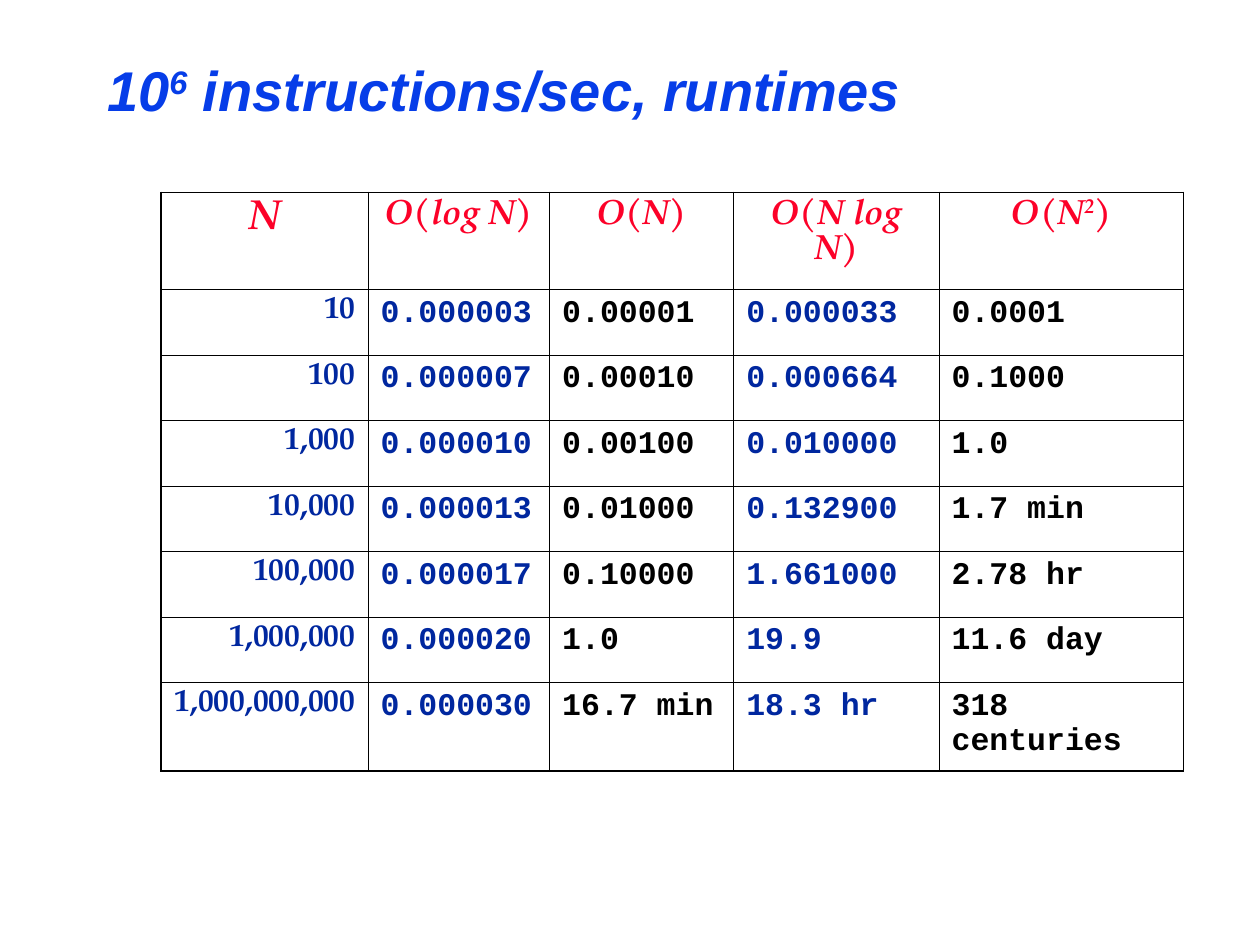
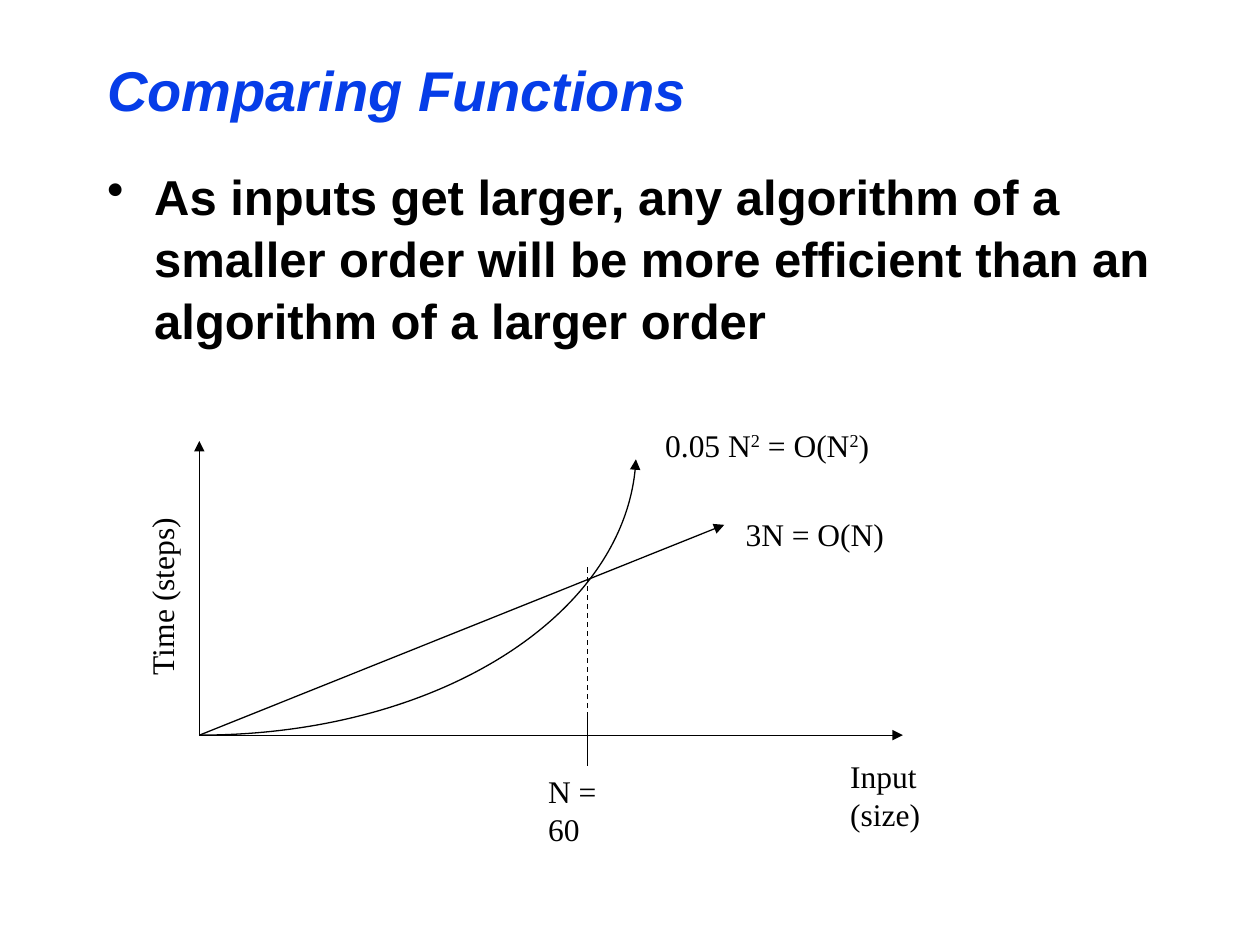
from dataclasses import dataclass

from pptx import Presentation
from pptx.dml.color import RGBColor
from pptx.enum.dml import MSO_LINE
from pptx.enum.shapes import MSO_CONNECTOR
from pptx.enum.text import MSO_ANCHOR, PP_ALIGN
from pptx.oxml.ns import qn
from pptx.oxml.xmlchemy import OxmlElement as Element
from pptx.util import Cm, Pt


@dataclass(frozen=True)
class Theme:
    title_blue: str = "063DE8"
    header_red: str = "FC0128"
    navy: str = "00279F"
    black: str = "000000"
    sans: str = "Arial"
    serif: str = "TeX Gyre Pagella"
    mono: str = "Courier New"
    label: str = "Times New Roman"
    title_size: int = 32
    body_size: int = 28
    first_header_size: int = 24
    header_size: int = 20
    small_size: int = 18
    line: float = 0.75
    inner_border: float = 0.45
    outer_border: float = 1.08


THEME = Theme()

# Text between two bars is superscript. Lengths are in centimetres.
RUNTIME_TITLE = "10|6| instructions/sec, runtimes"
RUNTIME_HEADERS = ["N", "O(log N)", "O(N)", "O(N log N)", "O(N|2|)"]
RUNTIMES = [
    ["10", "0.000003", "0.00001", "0.000033", "0.0001"],
    ["100", "0.000007", "0.00010", "0.000664", "0.1000"],
    ["1,000", "0.000010", "0.00100", "0.010000", "1.0"],
    ["10,000", "0.000013", "0.01000", "0.132900", "1.7 min"],
    ["100,000", "0.000017", "0.10000", "1.661000", "2.78 hr"],
    ["1,000,000", "0.000020", "1.0", "19.9", "11.6 day"],
    ["1,000,000,000", "0.000030", "16.7 min", "18.3 hr", "318 centuries"],
]
TABLE_CORNER = (3.25, 3.88)
COLUMN_WIDTHS = [4.17, 3.66, 3.71, 4.14, 4.93]
ROW_HEIGHTS = [1.96] + [1.32] * 6 + [1.78]
COLUMN_COLORS = [THEME.navy, THEME.navy, THEME.black, THEME.navy, THEME.black]

COMPARING_TITLE = "Comparing Functions"
COMPARING_POINT = ("As inputs get larger, any algorithm of a smaller order "
                   "will be more efficient than an algorithm of a larger order")
ORIGIN_X, ORIGIN_Y = ORIGIN = (4.02, 14.82)
CROSSING_X = 11.85
ARROWS = [
    (ORIGIN, (ORIGIN_X, 8.89)),   # time axis
    (ORIGIN, (18.2, ORIGIN_Y)),   # input axis
    (ORIGIN, (14.6, 10.58)),      # linear function
]
QUADRATIC_CONTROLS = [(8.8, ORIGIN_Y), (12.68, 12.34), (12.82, 9.26)]
GRAPH_LABELS = [  # text, left, top, width, rotation
    ("Time (steps)", 1.42, 11.51, 3.68, 270),
    ("Input (size)", 16.89, 15.14, 3.4, 0),
    ("3N = O(N)", 14.78, 10.26, 3.3, 0),
    ("0.05 N|2| = O(N|2|)", 13.16, 8.46, 4.62, 0),
    ("N = 60", 10.8, 15.44, 2.26, 0),
]
LABEL_HEIGHT = 1.02


def write(frame, text, font, size, color, bold=False, italic=False):
    paragraph = frame.paragraphs[0]
    for index, part in enumerate(text.split("|")):
        span = paragraph.add_run()
        span.text = part
        if index % 2:
            span._r.get_or_add_rPr().set("baseline", "30000")
    style = paragraph.font
    style.name, style.size = font, Pt(size)
    style.bold, style.italic = bold, italic
    style.color.rgb = RGBColor.from_string(color)
    return paragraph


def add_box(page, left, top, width, height, wrap=True):
    box = page.shapes.add_textbox(Cm(left), Cm(top), Cm(width), Cm(height))
    box.text_frame.word_wrap = wrap
    return box


def add_page(deck, title):
    page = deck.slides.add_slide(deck.slide_layouts[6])
    frame = add_box(page, 1.91, 0.84, 21.59, 1.91).text_frame
    frame.vertical_anchor = MSO_ANCHOR.MIDDLE
    write(frame, title, THEME.sans, THEME.title_size, THEME.title_blue, True, True)
    return page


def set_borders(cell, outer_sides):
    properties = cell._tc.get_or_add_tcPr()
    for side in "LRTB":
        weight = THEME.outer_border if side in outer_sides else THEME.inner_border
        border = Element(f"a:ln{side}")
        border.set("w", str(Pt(weight)))
        fill = Element("a:solidFill")
        color = Element("a:srgbClr")
        color.set("val", THEME.black)
        fill.append(color)
        border.append(fill)
        properties.append(border)


def write_cell(cell, text, row, column):
    frame = cell.text_frame
    if row == 0:
        size = THEME.header_size if column else THEME.first_header_size
        paragraph = write(frame, text, THEME.serif, size, THEME.header_red, True, True)
        paragraph.alignment = PP_ALIGN.CENTER
    else:
        font = THEME.mono if column else THEME.serif
        paragraph = write(frame, text, font, THEME.small_size, COLUMN_COLORS[column], True)
        paragraph.alignment = PP_ALIGN.LEFT if column else PP_ALIGN.RIGHT


def add_runtime_table(page):
    rows = [RUNTIME_HEADERS] + RUNTIMES
    last_row, last_column = len(rows) - 1, len(RUNTIME_HEADERS) - 1
    size = (sum(COLUMN_WIDTHS), sum(ROW_HEIGHTS))
    table = page.shapes.add_table(len(rows), len(RUNTIME_HEADERS),
                                  *map(Cm, TABLE_CORNER + size)).table
    table.first_row = table.horz_banding = False
    for column, width in zip(table.columns, COLUMN_WIDTHS):
        column.width = Cm(width)
    for row, height in zip(table.rows, ROW_HEIGHTS):
        row.height = Cm(height)
    for r, texts in enumerate(rows):
        for c, text in enumerate(texts):
            cell = table.cell(r, c)
            edges = {"L": c == 0, "R": c == last_column, "T": r == 0, "B": r == last_row}
            set_borders(cell, [side for side, outer in edges.items() if outer])
            cell.fill.background()
            write_cell(cell, text, r, c)


def style_line(shape, arrow=False, dashed=False):
    shape.line.color.rgb = RGBColor.from_string(THEME.black)
    shape.line.width = Pt(THEME.line)
    if dashed:
        shape.line.dash_style = MSO_LINE.DASH
    properties = shape._element.spPr
    if arrow:
        head = Element("a:tailEnd")
        head.set("type", "triangle")
        properties.find(qn("a:ln")).append(head)
    properties.append(Element("a:effectLst"))


def add_line(page, start, end, **look):
    line = page.shapes.add_connector(MSO_CONNECTOR.STRAIGHT, *map(Cm, start + end))
    style_line(line, **look)


def add_curve(page, start, controls):
    """Draw one cubic curve: two control points, then the end point."""
    builder = page.shapes.build_freeform(*map(Cm, start))
    builder.add_line_segments([(Cm(x), Cm(y)) for x, y in controls], close=False)
    curve = builder.convert_to_shape()
    outline = next(curve._element.iter(qn("a:path")))
    bezier = Element("a:cubicBezTo")
    for segment in outline.findall(qn("a:lnTo")):
        bezier.append(segment[0])
        outline.remove(segment)
    outline.append(bezier)
    curve.fill.background()
    style_line(curve, arrow=True)


def add_bullet_point(page, text):
    frame = add_box(page, 1.91, 3.18, 21.79, 15.24).text_frame
    properties = frame.paragraphs[0]._p.get_or_add_pPr()
    properties.set("marL", str(Cm(0.95)))
    properties.set("indent", str(-Cm(0.95)))
    bullet = Element("a:buChar")
    bullet.set("char", "•")
    properties.append(bullet)
    paragraph = write(frame, text, THEME.sans, THEME.body_size, THEME.black, True)
    paragraph.line_spacing = 1.05


def add_growth_graph(page):
    for start, end in ARROWS:
        add_line(page, start, end, arrow=True)
    add_curve(page, ORIGIN, QUADRATIC_CONTROLS)
    add_line(page, (CROSSING_X, 14.4), (CROSSING_X, 15.45))
    add_line(page, (CROSSING_X, ORIGIN_Y), (CROSSING_X, 11.43), dashed=True)
    for text, left, top, width, rotation in GRAPH_LABELS:
        box = add_box(page, left, top, width, LABEL_HEIGHT, wrap=False)
        box.rotation = rotation
        write(box.text_frame, text, THEME.label, THEME.small_size, THEME.black)


def main():
    deck = Presentation()
    deck.slide_width, deck.slide_height = Cm(25.4), Cm(19.05)
    add_runtime_table(add_page(deck, RUNTIME_TITLE))
    comparing = add_page(deck, COMPARING_TITLE)
    add_bullet_point(comparing, COMPARING_POINT)
    add_growth_graph(comparing)
    deck.save("out.pptx")


if __name__ == "__main__":
    main()
